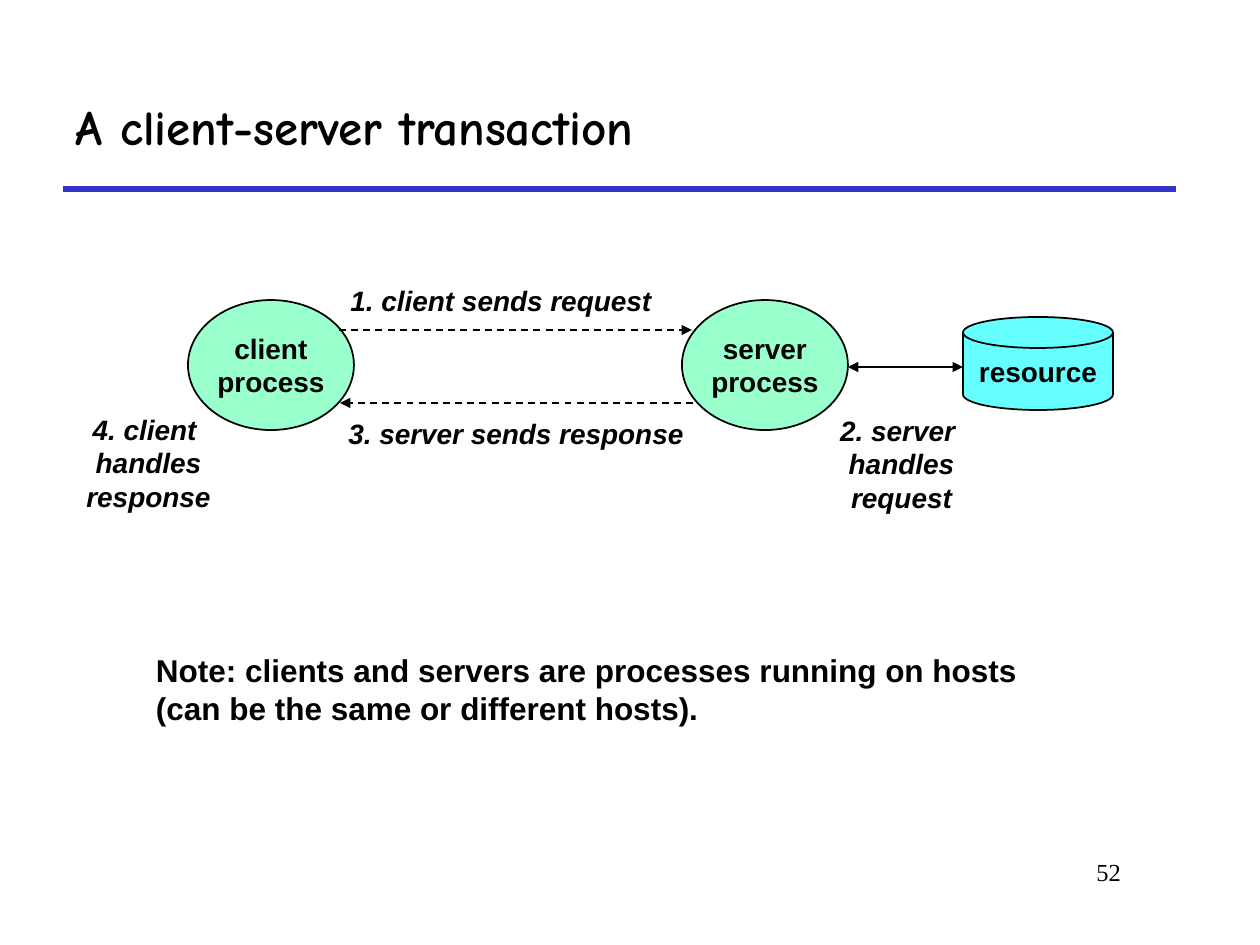
from pptx import Presentation
from pptx.dml.color import RGBColor
from pptx.enum.dml import MSO_LINE
from pptx.enum.shapes import MSO_CONNECTOR, MSO_SHAPE
from pptx.enum.text import MSO_ANCHOR, MSO_AUTO_SIZE, PP_ALIGN
from pptx.oxml.ns import qn
from pptx.util import Pt
from lxml.etree import SubElement

PX = 914400 / 126  # EMU per px
BLACK = "000000"


def px(*values):
    return [round(v * PX) for v in values]


def write(sp, text, size, align=PP_ALIGN.CENTER, anchor=MSO_ANCHOR.MIDDLE,
          font="Arial", bold=True, italic=False, wrap=False, inset=(13, 6)):
    """Fill a shape with one paragraph per line of text."""
    tf = sp.text_frame
    side, end = px(*inset)
    frame = dict(margin_left=side, margin_right=side, margin_top=end, margin_bottom=end,
                 word_wrap=wrap, vertical_anchor=anchor, auto_size=MSO_AUTO_SIZE.NONE)
    for name, value in frame.items():
        setattr(tf, name, value)
    tf.text = text
    for p in tf.paragraphs:
        p.alignment = align
        for r in p.runs:
            for name, value in dict(name=font, size=Pt(size), bold=bold, italic=italic).items():
                setattr(r.font, name, value)
            r.font.color.rgb = RGBColor.from_string(BLACK)


prs = Presentation()
prs.slide_width, prs.slide_height = px(1260, 945)
s = prs.slides.add_slide(prs.slide_layouts[5])

# Title
title = s.shapes.title
title.left, title.top, title.width, title.height = px(63, 63, 1113, 126)
write(title, "A client-server transaction", 28, PP_ALIGN.LEFT, font="Comic Neue", wrap=True)

# Processes and resource
nodes = [
    (MSO_SHAPE.OVAL, (188, 300, 166, 130), "99FFCC", "client\nprocess", (0, 0)),
    (MSO_SHAPE.OVAL, (682, 300, 166, 130), "99FFCC", "server\nprocess", (0, 0)),
    (MSO_SHAPE.FLOWCHART_MAGNETIC_DISK, (963, 317, 150, 93), "66FFFF", "resource", (13, 6)),
]
for kind, box, fill, text, inset in nodes:
    sp = s.shapes.add_shape(kind, *px(*box))
    sp.shadow.inherit = False
    sp.fill.solid()
    sp.fill.fore_color.rgb = RGBColor.from_string(fill)
    sp.line.color.rgb = RGBColor.from_string(BLACK)
    sp.line.width = Pt(1)
    write(sp, text, 16, inset=inset)

# Title rule and arrows
lines = [
    ((63, 189, 1176, 189), "3333CC", 3, None, ()),
    ((339, 330, 692, 330), BLACK, 1, MSO_LINE.DASH, ("tailEnd",)),
    ((693, 403, 340, 403), BLACK, 1, MSO_LINE.DASH, ("tailEnd",)),
    ((848, 367, 963, 367), BLACK, 1, None, ("headEnd", "tailEnd")),
]
for ends, color, width, dash, arrowheads in lines:
    line = s.shapes.add_connector(MSO_CONNECTOR.STRAIGHT, *px(*ends))
    line.line.color.rgb = RGBColor.from_string(color)
    line.line.width = Pt(width)
    if dash:
        line.line.dash_style = dash
    for end in arrowheads:
        SubElement(line.line._get_or_add_ln(), qn(f"a:{end}"), type="triangle")
    SubElement(line._element.spPr, qn("a:effectLst"))

# Steps, note and page number
step = dict(size=16, italic=True)
labels = [
    ((338, 277, 326, 47), "1. client sends request", step),
    ((828, 407, 147, 113), "2. server \nhandles\nrequest", step),
    ((336, 410, 360, 47), "3. server sends response", step),
    ((74, 406, 149, 113), "4. client \nhandles\nresponse", step),
    ((143, 645, 895, 88),
     "Note: clients and servers are processes running on hosts\n"
     "(can be the same or different hosts).",
     dict(size=18, align=PP_ALIGN.LEFT, anchor=MSO_ANCHOR.TOP)),
    ((955, 851, 179, 63), "52",
     dict(size=14, align=PP_ALIGN.RIGHT, anchor=MSO_ANCHOR.TOP,
          font="Times New Roman", bold=False, wrap=True)),
]
for box, text, style in labels:
    write(s.shapes.add_textbox(*px(*box)), text, **style)

prs.save("out.pptx")
